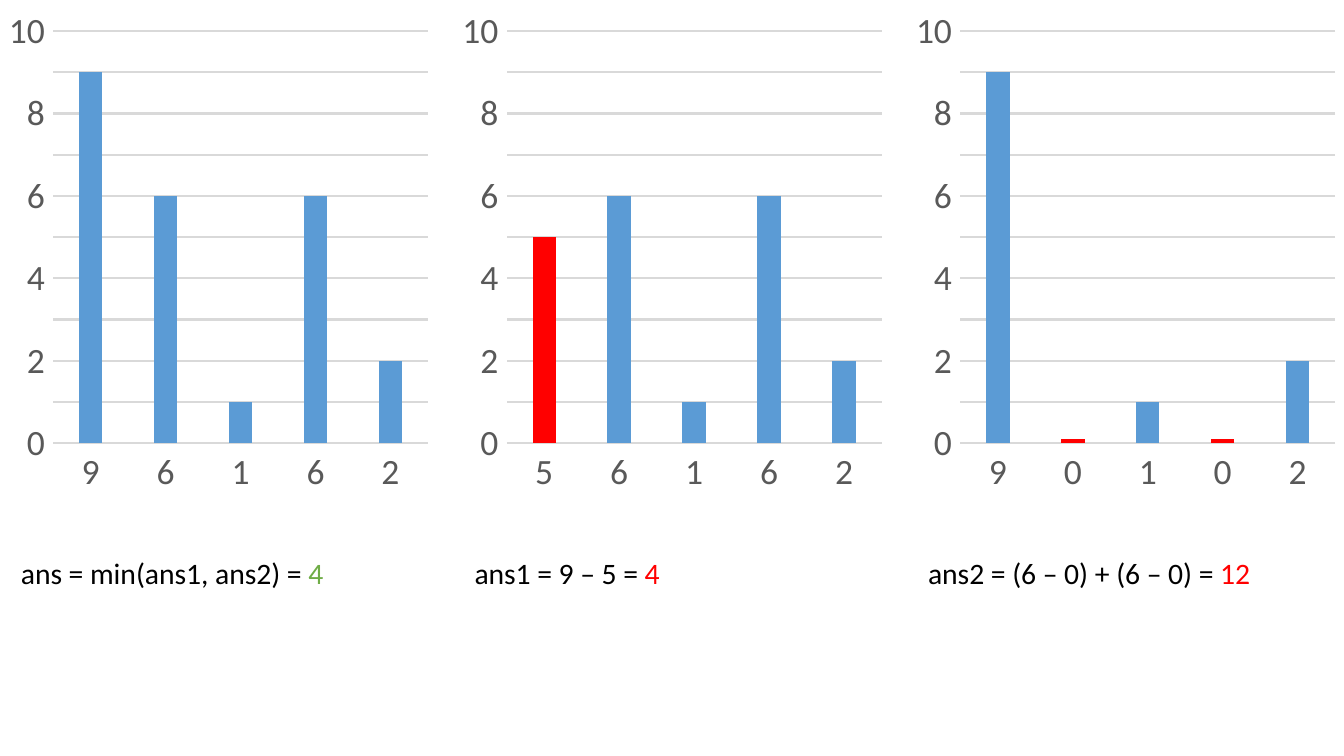
from pptx import Presentation
from pptx.chart import data
from pptx.dml.color import RGBColor
from pptx.enum import chart as chart_enum, text as text_enum
from pptx.util import Cm, Pt

COLORS = {
    "bar": "5B9BD5",
    "changed": "FF0000",
    "answer": "70AD47",
    "grid": "D9D9D9",
    "label": "595959",
    "text": "000000",
}
FONT = "Calibri"
CHART_WIDTH, CHART_HEIGHT, PANEL_PITCH = 5.2, 6, 5.4
FORMULA_TOP, FORMULA_HEIGHT = 6.48, 0.7

PANELS = [
    ("96162", [9, 6, 1, 6, 2], [], "ans = min(ans1, ans2) = ", "4", "answer", 4.17),
    ("56162", [5, 6, 1, 6, 2], [0], "ans1 = 9 – 5 = ", "4", "changed", 4.17),
    ("90102", [9, 0.1, 1, 0.1, 2], [1, 3], "ans2 = (6 – 0) + (6 – 0) = ", "12", "changed", 4.4),
]


def rgb(name):
    """Return the named colour."""
    return RGBColor.from_string(COLORS[name])


def style_font(font, size, color):
    """Set family, size and colour of a font."""
    font.name, font.size = FONT, Pt(size)
    font.color.rgb = rgb(color)


def style_line(line):
    """Draw a thin grid-coloured line."""
    line.color.rgb = rgb("grid")
    line.width = Pt(0.75)


def add_heights(slide, left, top, width, height, digits, heights, changed):
    """Place a column chart in the given box and mark its changed columns."""
    chart_data = data.CategoryChartData()
    chart_data.categories = list(digits)
    chart_data.add_series("Series 1", heights)
    chart = slide.shapes.add_chart(
        chart_enum.XL_CHART_TYPE.COLUMN_CLUSTERED,
        Cm(left), Cm(top), Cm(width), Cm(height), chart_data,
    ).chart
    chart.has_title = chart.has_legend = False
    style_font(chart.font, 10, "text")

    columns = chart.plots[0]
    columns.gap_width, columns.overlap = 219, -27
    columns.vary_by_categories = False
    series = columns.series[0]
    series.format.fill.solid()
    series.format.fill.fore_color.rgb = rgb("bar")
    for index in changed:
        fill = series.points[index].format.fill
        fill.solid()
        fill.fore_color.rgb = rgb("changed")

    for axis in (chart.category_axis, chart.value_axis):
        axis.major_tick_mark = axis.minor_tick_mark = chart_enum.XL_TICK_MARK.NONE
        style_font(axis.tick_labels.font, 12, "label")
    style_line(chart.category_axis.format.line)
    scale = chart.value_axis
    scale.minimum_scale, scale.maximum_scale, scale.major_unit = 0, 10, 1
    scale.format.line.fill.background()
    scale.has_major_gridlines = True
    style_line(scale.major_gridlines.format.line)


def add_formula(slide, left, top, width, height, formula, result, color):
    """Place a formula with a coloured result in the given box."""
    frame = slide.shapes.add_textbox(Cm(left), Cm(top), Cm(width), Cm(height)).text_frame
    frame.word_wrap = False
    frame.auto_size = text_enum.MSO_AUTO_SIZE.SHAPE_TO_FIT_TEXT
    line = frame.paragraphs[0]
    for words, shade in ((formula, "text"), (result, color)):
        run = line.add_run()
        run.text = words
        style_font(run.font, 10, shade)


def main():
    """Build the slide of three panels and save it."""
    deck = Presentation()
    deck.slide_width, deck.slide_height = Cm(16), Cm(9)
    slide = deck.slides.add_slide(deck.slide_layouts[6])
    for column, (digits, heights, changed, formula, result, color, width) in enumerate(PANELS):
        left = column * PANEL_PITCH
        add_heights(slide, left, 0, CHART_WIDTH, CHART_HEIGHT, digits, heights, changed)
        add_formula(slide, left, FORMULA_TOP, width, FORMULA_HEIGHT, formula, result, color)
    deck.save("out.pptx")


if __name__ == "__main__":
    main()
